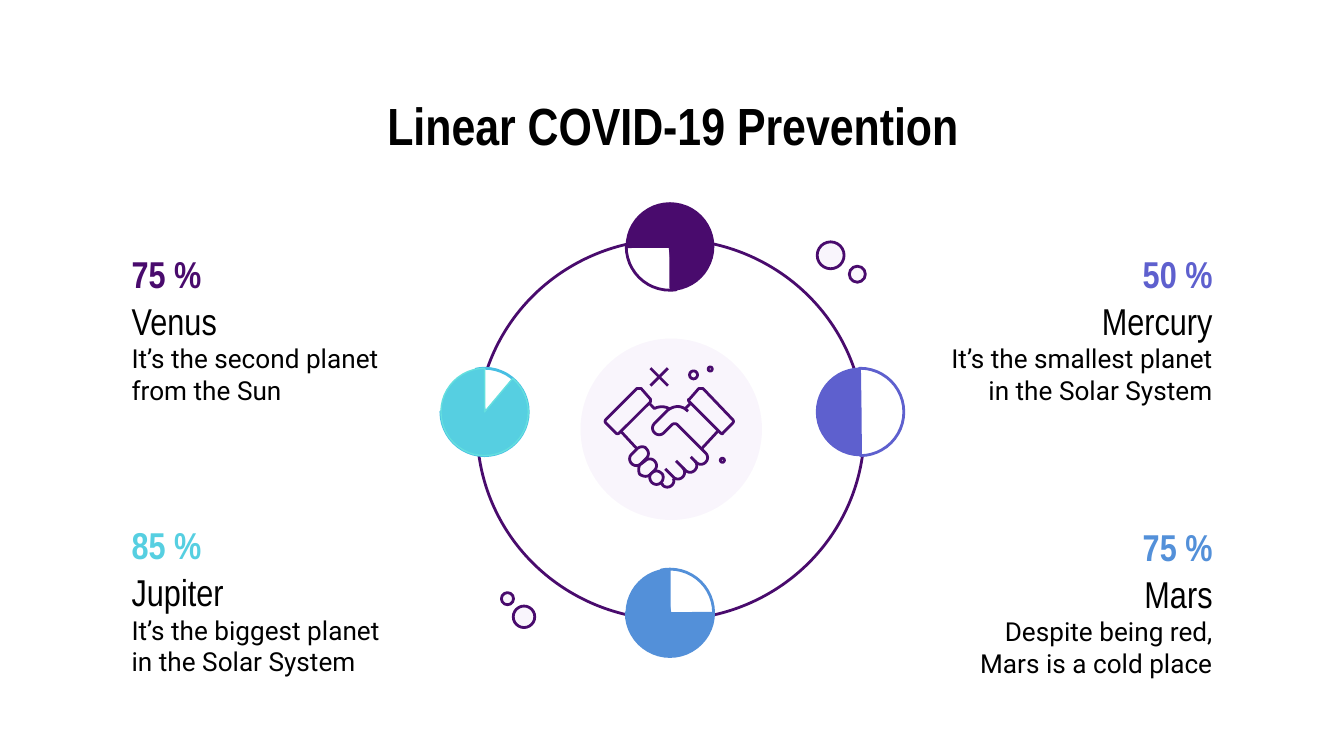
from lxml import etree
from pptx import Presentation
from pptx.dml.color import RGBColor
from pptx.enum import shapes, text
from pptx.oxml import ns
from pptx.util import Pt

BLACK = RGBColor(0x00, 0x00, 0x00)
WHITE = RGBColor(0xFF, 0xFF, 0xFF)
PURPLE = RGBColor(0x49, 0x0B, 0x6D)
VIOLET = RGBColor(0x74, 0x00, 0xB8)
INDIGO = RGBColor(0x5E, 0x60, 0xCE)
BLUE = RGBColor(0x53, 0x90, 0xD9)
SKY = RGBColor(0x48, 0xBF, 0xE3)
CYAN = RGBColor(0x56, 0xCF, 0xE1)
AQUA = RGBColor(0x64, 0xDF, 0xDF)

HEADING_FONT = "Arial Narrow"
BODY_FONT = "Roboto"
LEFT, RIGHT = text.PP_ALIGN.LEFT, text.PP_ALIGN.RIGHT
PIE_SIZE = 46.8
ICON_LEFT, ICON_TOP, ICON_UNIT = 288, 144, 0.72
CURVE_STEPS = 8

CAPTIONS = [
    (499.7, 132.5, RIGHT, "50 %", INDIGO, "Mercury",
     "It’s the smallest planet in the Solar System"),
    (499.7, 278.6, RIGHT, "75 %", BLUE, "Mars",
     "Despite being red, Mars is a cold place"),
    (63.4, 132.5, LEFT, "75 %", PURPLE, "Venus",
     "It’s the second planet from the Sun"),
    (63.4, 277.9, LEFT, "85 %", CYAN, "Jupiter",
     "It’s the biggest planet in the Solar System"),
]

PIES = [
    (236.2, 197.3, (258.7, 180.3), SKY, (310, 270), CYAN, AQUA),
    (335.5, 108.7, (81.9, 180.3), PURPLE, (178.9, 89.7), PURPLE, PURPLE),
    (335.5, 304.9, (258.7, 180.3), BLUE, (359.8, 270), BLUE, BLUE),
    (437.4, 197.3, (269.2, 89.5), INDIGO, (90.7, 270), INDIGO, INDIGO),
]

BUBBLES = [(437.8, 129.6, 14.4), (455, 142.6, 8.6),
           (275, 324.7, 11.5), (268.6, 317.5, 6.5)]

ICON_DOTS = [(369.4, 198.7, 4.3), (385.9, 245.5, 2.2), (379.4, 196.6, 2.2)]

ICON_LINES = [(62, 121, 74, 134), (122, 134, 134, 121), (114, 100, 110, 104),
              (84, 74, 97, 87), (84, 87, 97, 74)]

FINGERS = [
    [(81, 141), (77, 145), (75, 147, 72, 147, 70, 145), (68, 143, 68, 140, 70, 138),
     (74, 134), (76, 132, 80, 132, 81, 134), (83, 136, 83, 139, 81, 141)],
    [(87, 150), (84, 153), (82, 155, 79, 155, 76, 153), (75, 151, 75, 148, 76, 146),
     (80, 143), (82, 141, 85, 141, 87, 143), (89, 145, 89, 148, 87, 150)],
    [(92, 159), (90, 161, 87, 161, 85, 159), (83, 157, 83, 153, 85, 152),
     (87, 150, 90, 150, 92, 152), (94, 153, 94, 157, 92, 159)],
]

CUFFS = [
    [(84, 99), (61, 122), (60, 123, 59, 123, 58, 122), (51, 115),
     (50, 114, 50, 113, 51, 112), (74, 89), (75, 89, 76, 89, 77, 89),
     (84, 97), (84, 97, 84, 98, 84, 99)],
    [(136, 122), (113, 99), (112, 98, 112, 97, 113, 97), (120, 89),
     (121, 89, 122, 89, 123, 89), (145, 112), (146, 113, 146, 114, 145, 115),
     (138, 122), (138, 123, 137, 123, 136, 122)],
]

HAND_CURVES = [
    [(117, 143), (119, 145, 119, 148, 117, 150), (115, 152, 112, 152, 110, 150),
     (103, 143)],
    [(108, 148), (110, 150, 110, 153, 108, 155), (106, 157, 103, 157, 101, 155),
     (95, 149)],
    [(114, 140), (118, 144), (120, 146, 123, 146, 125, 144),
     (127, 142, 127, 139, 125, 137), (104, 116), (103, 115, 101, 115, 100, 116),
     (94, 122), (92, 124, 89, 124, 87, 122), (85, 120, 85, 117, 87, 115),
     (96, 106), (96, 106, 104, 98, 112, 106)],
    [(101, 156), (102, 158, 101, 160, 100, 161), (98, 163, 95, 163, 93, 161),
     (93, 160, 92, 160, 92, 159)],
    [(83, 100), (87, 104), (87, 104, 92, 101, 98, 104)],
]


def add_run(paragraph, words, font, size, color, bold=False):
    run = paragraph.add_run()
    run.text = words
    run.font.name = font
    run.font.size = Pt(size)
    run.font.bold = bold
    run.font.color.rgb = color


def place(shape, left, top, width, height):
    shape.left, shape.top = Pt(left), Pt(top)
    shape.width, shape.height = Pt(width), Pt(height)


def prepare_frame(shape, anchor, alignment):
    frame = shape.text_frame
    frame.word_wrap = True
    frame.auto_size = text.MSO_AUTO_SIZE.NONE
    frame.vertical_anchor = anchor
    frame.margin_left = frame.margin_right = Pt(7.2)
    frame.margin_top = frame.margin_bottom = Pt(7.2)
    paragraph = frame.paragraphs[0]
    paragraph.alignment = alignment
    return paragraph


def add_title(slide, words):
    title = slide.shapes.title
    place(title, 56.9, 42.5, 607, 40.3)
    paragraph = prepare_frame(title, text.MSO_ANCHOR.TOP, text.PP_ALIGN.CENTER)
    add_run(paragraph, words, HEADING_FONT, 28, BLACK, True)


def add_caption(slide, left, top, alignment, percent, color, name, description):
    rows = [(0, 28.1, percent, HEADING_FONT, 20, color, True),
            (26.6, 25.2, name, HEADING_FONT, 20, BLACK, False),
            (51.1, 33.8, description, BODY_FONT, 14, BLACK, False)]
    for offset, height, *run in rows:
        box = slide.shapes.add_textbox(Pt(left), Pt(top + offset), Pt(157), Pt(height))
        add_run(prepare_frame(box, text.MSO_ANCHOR.MIDDLE, alignment), *run)


def style(shape, fill=None, line=None, width=1.5, opacity=100):
    shape.shadow.inherit = False
    if fill is None:
        shape.fill.background()
    else:
        shape.fill.solid()
        shape.fill.fore_color.rgb = fill
        if opacity < 100:
            color = shape.fill._xPr.find(".//" + ns.qn("a:srgbClr"))
            etree.SubElement(color, ns.qn("a:alpha"), val=str(opacity * 1000))
    if line is None:
        shape.line.fill.background()
    else:
        shape.line.color.rgb = line
        shape.line.width = Pt(width)


def add_ellipse(slide, left, top, width, height, **look):
    shape = slide.shapes.add_shape(
        shapes.MSO_SHAPE.OVAL, Pt(left), Pt(top), Pt(width), Pt(height))
    style(shape, **look)


def add_pie(slide, left, top, angles, fill, line, width):
    shape = slide.shapes.add_shape(
        shapes.MSO_SHAPE.PIE, Pt(left), Pt(top), Pt(PIE_SIZE), Pt(PIE_SIZE))
    for index, degrees in enumerate(angles):
        shape.adjustments[index] = degrees * 0.6
    style(shape, fill, line, width)


def icon_point(x, y):
    return Pt(ICON_LEFT + x * ICON_UNIT), Pt(ICON_TOP + y * ICON_UNIT)


def curve_points(start, segment):
    x1, y1, x2, y2, x3, y3 = segment
    for step in range(1, CURVE_STEPS + 1):
        t = step / CURVE_STEPS
        s = 1 - t
        weights = (s ** 3, 3 * s * s * t, 3 * s * t * t, t ** 3)
        yield (sum(w * x for w, x in zip(weights, (start[0], x1, x2, x3))),
               sum(w * y for w, y in zip(weights, (start[1], y1, y2, y3))))


def add_outline(slide, segments, closed):
    points = [segments[0]]
    for segment in segments[1:]:
        if len(segment) == 2:
            points.append(segment)
        else:
            points.extend(list(curve_points(points[-1], segment)))
    builder = slide.shapes.build_freeform(*icon_point(*points[0]))
    builder.add_line_segments([icon_point(*point) for point in points[1:]], close=closed)
    style(builder.convert_to_shape(), line=PURPLE)


def add_icon_line(slide, x1, y1, x2, y2):
    connector = slide.shapes.add_connector(
        shapes.MSO_CONNECTOR.STRAIGHT, *icon_point(x1, y1), *icon_point(x2, y2))
    connector.line.color.rgb = PURPLE
    connector.line.width = Pt(1.5)
    etree.SubElement(connector._element.spPr, ns.qn("a:effectLst"))


def add_handshake(slide):
    add_ellipse(slide, 311, 181.4, 97.2, 97.2, fill=VIOLET, opacity=4)
    for outline in FINGERS + CUFFS:
        add_outline(slide, outline, True)
    for outline in HAND_CURVES:
        add_outline(slide, outline, False)
    for line in ICON_LINES:
        add_icon_line(slide, *line)
    for left, top, size in ICON_DOTS:
        add_ellipse(slide, left, top, size, size, line=PURPLE)


def main():
    presentation = Presentation()
    presentation.slide_width, presentation.slide_height = Pt(720), Pt(405)
    slide = presentation.slides.add_slide(presentation.slide_layouts[5])
    add_title(slide, "Linear COVID-19 Prevention")
    for caption in CAPTIONS:
        add_caption(slide, *caption)
    add_ellipse(slide, 255.6, 128.2, 207.4, 203.8, line=PURPLE)
    for left, top, rest, rim, share, fill, edge in PIES:
        add_pie(slide, left, top, rest, WHITE, rim, 1.5)
        add_pie(slide, left, top, share, fill, edge, 0.75)
    add_handshake(slide)
    for left, top, size in BUBBLES:
        add_ellipse(slide, left, top, size, size, fill=VIOLET, line=PURPLE, opacity=4)
    presentation.save("out.pptx")


if __name__ == "__main__":
    main()
